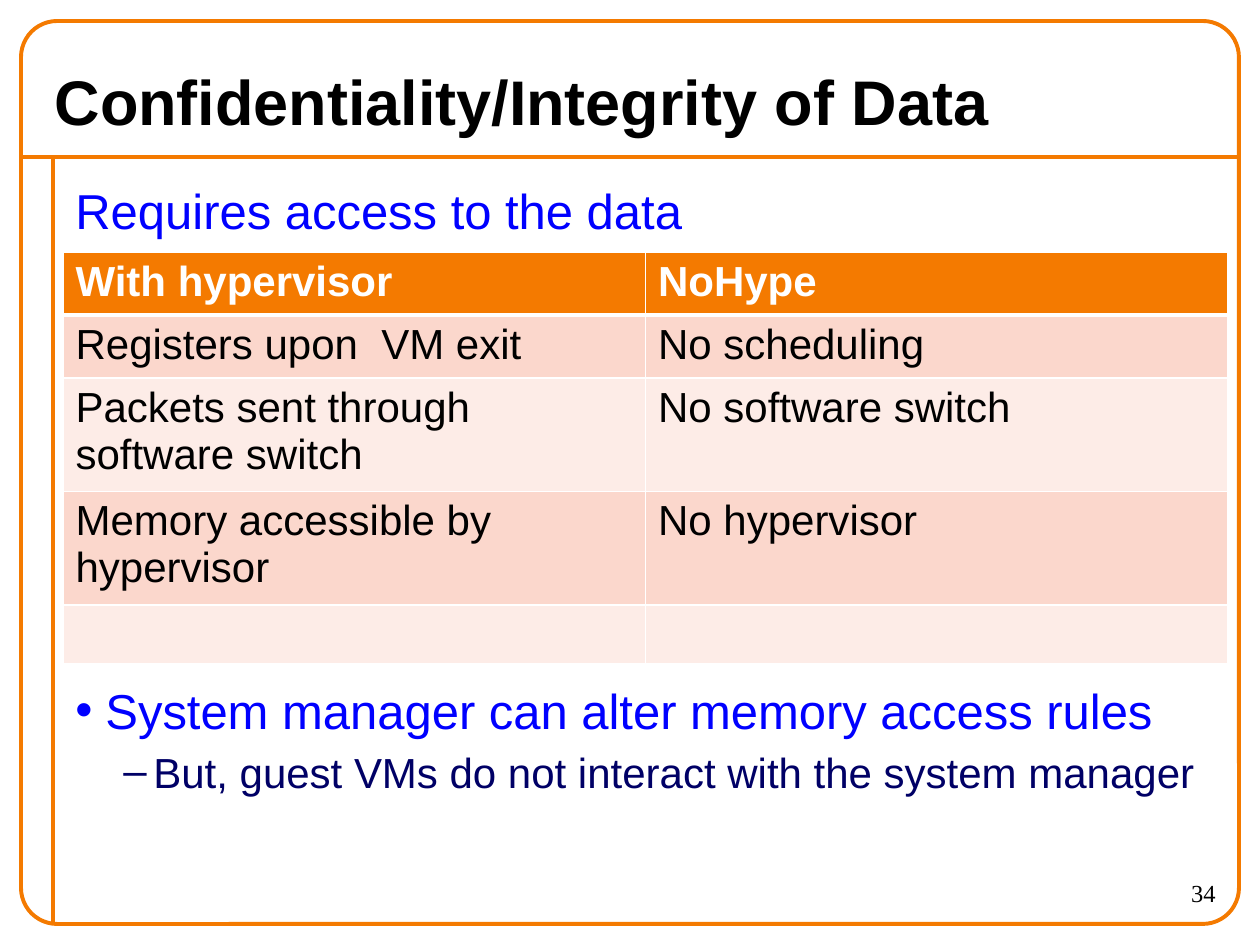
import pptx
import pptx.util
import pptx.dml.color
import pptx.enum.shapes
import pptx.enum.text
import pptx.oxml
import pptx.oxml.ns

SCALE = 914400 / 126
COLORS = {
    "orange": "F47A00", "black": "000000", "white": "FFFFFF",
    "blue": "0000FF", "navy": "000066", "dark": "FBD7CC", "light": "FDECE7",
}
ROWS = [
    ("With hypervisor", "NoHype"),
    ("Registers upon  VM exit", "No scheduling"),
    ("Packets sent through software switch", "No software switch"),
    ("Memory accessible by hypervisor", "No hypervisor"),
    ("", ""),
]
HEIGHTS = [59, 59, 106, 106, 59]
ALIGN = pptx.enum.text.PP_ALIGN
ANCHOR = pptx.enum.text.MSO_ANCHOR


def px(*values):
    return [pptx.util.Emu(round(v * SCALE)) for v in values]


def rgb(name):
    return pptx.dml.color.RGBColor.from_string(COLORS[name])


def node(parent, tag, **attrs):
    item = pptx.oxml.ns.qn("a:" + tag)
    child = parent.makeelement(item, attrs)
    parent.append(child)
    return child


def write(frame, text, size=28, color="black", font="Arial", bold=False,
          align=ALIGN.LEFT, before=0, bullet="", left=0, hang=0, add=False):
    para = frame.add_paragraph() if add else frame.paragraphs[0]
    para.alignment = align
    para.space_before = pptx.util.Pt(before)
    run = para.add_run()
    run.text = text
    run.font.size = pptx.util.Pt(size)
    run.font.name = font
    run.font.bold = bold
    run.font.color.rgb = rgb(color)
    if bullet:
        props = para._p.get_or_add_pPr()
        margin, indent = px(left, -hang)
        props.set("marL", str(margin))
        props.set("indent", str(indent))
        node(props, "buFont", typeface="Arial")
        node(props, "buChar", char=bullet)


def textbox(slide, x, y, w, h):
    frame = slide.shapes.add_textbox(*px(x, y, w, h)).text_frame
    frame.word_wrap = True
    return frame


def stroke(shape):
    shape.line.color.rgb = rgb("orange")
    shape.line.width = pptx.util.Pt(2.25)


def border(slide, x, y, w, h):
    rule = y + 136
    side = x + 32
    for ends in ((x, rule, x + w, rule), (side, rule, side, y + h)):
        line = slide.shapes.add_connector(
            pptx.enum.shapes.MSO_CONNECTOR.STRAIGHT, *px(*ends))
        stroke(line)
        node(line._element.spPr, "effectLst")
    box = slide.shapes.add_shape(
        pptx.enum.shapes.MSO_SHAPE.ROUNDED_RECTANGLE, *px(x, y, w, h))
    box.adjustments[0] = 0.04
    box.shadow.inherit = False
    box.fill.background()
    stroke(box)


def heading(slide, x, y, w, h):
    title = slide.shapes.title
    title.left, title.top, title.width, title.height = px(x, y, w, h)
    title.text_frame.vertical_anchor = ANCHOR.MIDDLE
    write(title.text_frame, "Confidentiality/Integrity of Data",
          size=36, bold=True)


def edge(cell, head):
    props = cell._tc.get_or_add_tcPr()
    for place, side in enumerate(("lnL", "lnR", "lnT", "lnB")):
        width = 3 if head and side == "lnB" else 1
        line = props.makeelement(pptx.oxml.ns.qn("a:" + side),
                                 {"w": str(pptx.util.Pt(width))})
        props.insert(place, line)
        node(node(line, "solidFill"), "srgbClr", val=COLORS["white"])


def grid(slide, x, y, w):
    table = slide.shapes.add_table(
        len(ROWS), 2, *px(x, y, w, sum(HEIGHTS))).table
    for column in table.columns:
        column.width = px(w / 2)[0]
    for r, texts in enumerate(ROWS):
        table.rows[r].height = px(HEIGHTS[r])[0]
        head = r == 0
        for c, text in enumerate(texts):
            cell = table.cell(r, c)
            cell.fill.solid()
            cell.fill.fore_color.rgb = rgb(
                "orange" if head else "dark" if r % 2 else "light")
            edge(cell, head)
            if text:
                write(cell.text_frame, text, size=24, bold=head,
                      color="white" if head else "black")


def body(slide, x, y, w):
    write(textbox(slide, x, y, w, 70), "Requires access to the data",
          color="blue")
    frame = textbox(slide, x, y + 500, w, 130)
    write(frame, "System manager can alter memory access rules",
          color="blue", bullet="•", left=30, hang=30)
    write(frame, "But, guest VMs do not interact with the system manager",
          size=24, color="navy", before=4, bullet="–", left=78, hang=30,
          add=True)


def number(slide, x, y, w, h):
    write(textbox(slide, x, y, w, h), "34", size=14,
          font="Times New Roman", align=ALIGN.RIGHT)


def main():
    deck = pptx.Presentation()
    deck.slide_width, deck.slide_height = px(1260, 945)
    slide = deck.slides.add_slide(deck.slide_layouts[5])
    border(slide, 21, 21, 1218, 903)
    heading(slide, 42, 53, 1111, 94)
    number(slide, 1102, 872, 126, 53)
    body(slide, 63, 174, 1155)
    grid(slide, 63, 252, 1165)
    deck.save("out.pptx")


main()
